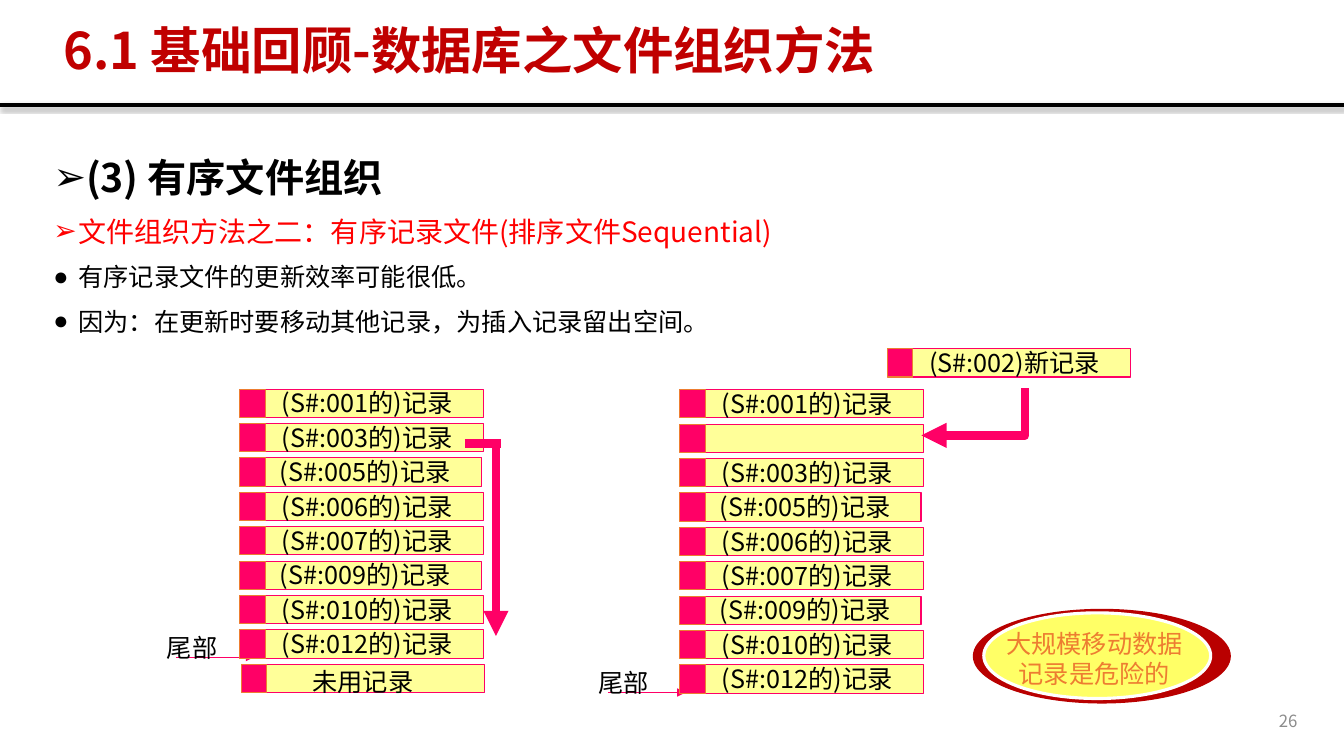
from lxml import etree
from pptx import Presentation
from pptx.dml.color import RGBColor
from pptx.enum.shapes import MSO_CONNECTOR, MSO_SHAPE
from pptx.enum.text import MSO_ANCHOR, PP_ALIGN
from pptx.oxml.ns import qn
from pptx.util import Inches, Pt

SLIDE_WIDTH = Inches(13.33)
SLIDE_HEIGHT = Inches(7.5)
FONT = "Noto Sans CJK SC"
BLACK = RGBColor(0x00, 0x00, 0x00)
WHITE = RGBColor(0xFF, 0xFF, 0xFF)
TITLE_RED = RGBColor(0xC0, 0x00, 0x00)
BRIGHT_RED = RGBColor(0xFF, 0x00, 0x00)
DARK_RED = RGBColor(0xB9, 0x00, 0x00)
PINK = RGBColor(0xFF, 0x00, 0x66)
ORANGE = RGBColor(0xED, 0x7D, 0x31)
PALE_YELLOW = RGBColor(0xFF, 0xFF, 0x99)
YELLOW = RGBColor(0xFF, 0xFF, 0x66)
GRAY = RGBColor(0x8C, 0x8C, 0x8C)

ROW_STEP = 4.55
ROW_HEIGHT = 3.75
KEY_WIDTH = 1.9
RECORD_WIDTH = 16.2
SHIFTED = ("005", "009")
OLD_ORDER = ("001", "003", "005", "006", "007", "009", "010", "012")
NEW_ORDER = ("001", None, "003", "005", "006", "007", "009", "010", "012")


def across(percent):
    return round(SLIDE_WIDTH * percent / 100)


def down(percent):
    return round(SLIDE_HEIGHT * percent / 100)


def place(left, top, width, height):
    return across(left), down(top), across(width), down(height)


def add_bullet(para, mark):
    properties = para._p.get_or_add_pPr()
    properties.set("marL", str(Inches(0.25)))
    properties.set("indent", str(-Inches(0.25)))
    etree.SubElement(properties, qn("a:buFont"), typeface="Arial")
    etree.SubElement(properties, qn("a:buChar"), char=mark)


def write(para, text, size=18, color=BLACK, bold=False, font=FONT,
          align=PP_ALIGN.CENTER, spacing=None, before=None, bullet=None):
    if bullet:
        add_bullet(para, bullet)
    para.alignment = align
    if spacing:
        para.line_spacing = spacing
    if before:
        para.space_before = Pt(before)
    span = para.add_run()
    span.text = text
    span.font.size = Pt(size)
    span.font.bold = bold
    span.font.name = font
    span.font.color.rgb = color
    latin = span.font._element.find(qn("a:latin"))
    east_asian = etree.Element(qn("a:ea"), typeface=font)
    latin.addnext(east_asian)


def add_box(page, area, anchor=MSO_ANCHOR.TOP):
    box = page.shapes.add_textbox(*place(*area))
    box.text_frame.word_wrap = True
    box.text_frame.vertical_anchor = anchor
    return box.text_frame


def add_label(page, area, text, anchor=MSO_ANCHOR.TOP, **style):
    write(add_box(page, area, anchor).paragraphs[0], text, **style)


def add_figure(page, kind, area, fill, line=None, weight=0.75):
    figure = page.shapes.add_shape(kind, *place(*area))
    figure.shadow.inherit = False
    figure.fill.solid()
    figure.fill.fore_color.rgb = fill
    if line is None:
        figure.line.fill.background()
    else:
        figure.line.color.rgb = line
        figure.line.width = Pt(weight)


def style_line(line, color, weight, arrow):
    line.color.rgb = color
    line.width = Pt(weight)
    if arrow:
        etree.SubElement(line._get_or_add_ln(), qn("a:tailEnd"), type="triangle")


def add_line(page, start, end, color=PINK, weight=0.75, arrow=False):
    line = page.shapes.add_connector(
        MSO_CONNECTOR.STRAIGHT, across(start[0]), down(start[1]),
        across(end[0]), down(end[1]))
    style_line(line.line, color, weight, arrow)
    return etree.SubElement(line._element.spPr, qn("a:effectLst"))


def add_header(page):
    effects = add_line(page, (0, 13.87), (100, 13.87), BLACK, 3)
    shadow = etree.SubElement(effects, qn("a:outerShdw"), blurRad=str(Pt(3.1)),
                              dist=str(Pt(1.8)), dir="5400000", rotWithShape="0")
    tint = etree.SubElement(shadow, qn("a:srgbClr"), val=str(BLACK))
    etree.SubElement(tint, qn("a:alpha"), val="35000")
    add_label(page, (3.98, 2.67, 87.75, 8.67), "6.1 基础回顾-数据库之文件组织方法",
              MSO_ANCHOR.MIDDLE, size=36, color=TITLE_RED, bold=True,
              align=PP_ALIGN.LEFT, spacing=0.9)


def add_body(page):
    frame = add_box(page, (3.23, 17.73, 93.98, 28))
    write(frame.paragraphs[0], "(3) 有序文件组织", size=28, bold=True,
          align=PP_ALIGN.JUSTIFY, spacing=1.3, bullet="➢")
    write(frame.add_paragraph(), "文件组织方法之二：有序记录文件(排序文件Sequential)",
          size=20, color=BRIGHT_RED, align=PP_ALIGN.LEFT, before=10, bullet="➢")
    for text in ("有序记录文件的更新效率可能很低。",
                 "因为：在更新时要移动其他记录，为插入记录留出空间。"):
        write(frame.add_paragraph(), text, align=PP_ALIGN.LEFT, before=10, bullet="●")


def add_record(page, left, top, text=None, shift=0):
    add_figure(page, MSO_SHAPE.RECTANGLE,
               (left + KEY_WIDTH + shift, top, RECORD_WIDTH, ROW_HEIGHT), PALE_YELLOW, PINK)
    add_figure(page, MSO_SHAPE.RECTANGLE, (left, top, KEY_WIDTH, ROW_HEIGHT), PINK, ORANGE)
    if text:
        add_label(page, (left + 1.28 + shift, top - 0.85, 16.4, 5.33), text)


def add_file(page, left, top, numbers):
    for index, number in enumerate(numbers):
        text = f"(S#:{number}的)记录" if number else None
        shift = -0.15 if number in SHIFTED else 0
        add_record(page, left, top + index * ROW_STEP, text, shift)


def add_tail_mark(page, left, top):
    add_line(page, (left, top), (left + 5.78, top), arrow=True)
    add_label(page, (left - 1.73, top - 4, 5.78, 5.33), "尾部")


def add_insert_arrow(page):
    builder = page.shapes.build_freeform(across(76.28), down(51.33))
    builder.add_line_segments([(across(76.28), down(57.6)),
                               (across(68.55), down(57.6))], close=False)
    arrow = builder.convert_to_shape()
    arrow.shadow.inherit = False
    arrow.fill.background()
    style_line(arrow.line, PINK, 6, True)


def add_warning(page):
    add_figure(page, MSO_SHAPE.OVAL, (72.38, 80.53, 19.2, 12.53), DARK_RED)
    add_figure(page, MSO_SHAPE.OVAL, (73.2, 81.07, 16.88, 11.33), YELLOW, WHITE, 2.25)
    add_label(page, (73.58, 82.47, 15.7, 12.53), "大规模移动数据记录是危险的",
              color=ORANGE, font="Arial")


def main():
    deck = Presentation()
    deck.slide_width = SLIDE_WIDTH
    deck.slide_height = SLIDE_HEIGHT
    page = deck.slides.add_slide(deck.slide_layouts[6])
    add_header(page)
    add_body(page)
    add_label(page, (74.78, 92.67, 22.5, 5.33), "26", MSO_ANCHOR.MIDDLE,
              size=12, color=GRAY, align=PP_ALIGN.RIGHT)
    add_record(page, 66, 46.13, "(S#:002)新记录")
    add_tail_mark(page, 13.13, 86.93)
    add_file(page, 17.85, 51.47, OLD_ORDER)
    add_record(page, 17.95, 87.87)
    add_label(page, (22.05, 87.47, 9.9, 5.33), "未用记录")
    add_line(page, (36.9, 58.27), (36.9, 84.13), weight=6, arrow=True)
    add_tail_mark(page, 45.23, 91.6)
    add_file(page, 50.58, 51.55, NEW_ORDER)
    add_line(page, (34.58, 58.67), (37.28, 58.67), weight=6)
    add_insert_arrow(page)
    add_warning(page)


    deck.save("out.pptx")


if __name__ == "__main__":
    main()
